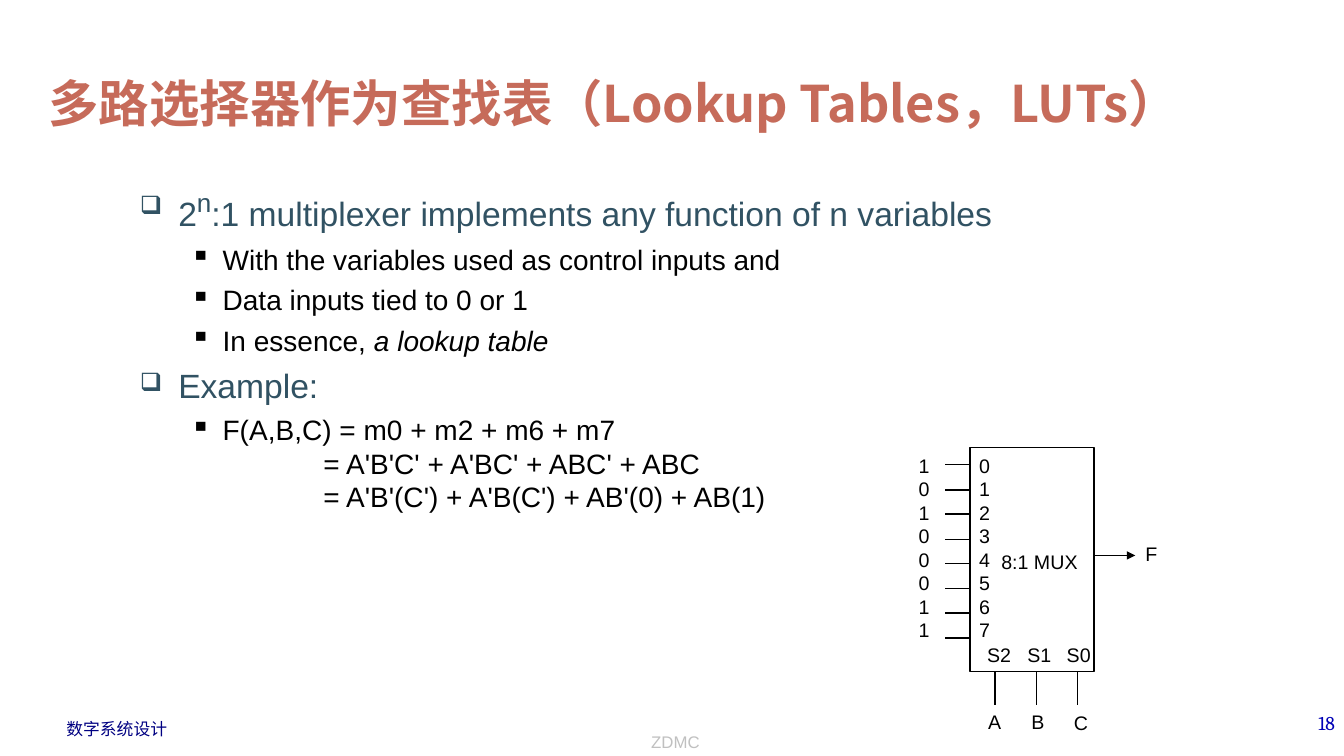
"""Build the slide on multiplexers used as lookup tables."""
from dataclasses import dataclass

from lxml import etree
from pptx import Presentation
from pptx.dml.color import RGBColor
from pptx.enum.shapes import MSO_CONNECTOR, MSO_SHAPE
from pptx.enum.text import MSO_ANCHOR, MSO_AUTO_SIZE, PP_ALIGN
from pptx.oxml.ns import qn
from pptx.util import Emu, Pt

PX = 9144
LEFT, CENTER, RIGHT = PP_ALIGN.LEFT, PP_ALIGN.CENTER, PP_ALIGN.RIGHT
TOP, BOTTOM = MSO_ANCHOR.TOP, MSO_ANCHOR.BOTTOM
NO_AUTOSIZE = MSO_AUTO_SIZE.NONE
STRAIGHT, RECTANGLE = MSO_CONNECTOR.STRAIGHT, MSO_SHAPE.RECTANGLE

BLACK = RGBColor(0x00, 0x00, 0x00)
CORAL = RGBColor(0xC6, 0x6B, 0x5A)
SLATE = RGBColor(0x31, 0x52, 0x63)
NAVY = RGBColor(0x00, 0x00, 0x82)
BLUE = RGBColor(0x00, 0x00, 0xB6)
SILVER = RGBColor(0xC0, 0xC0, 0xC0)
SANS, SERIF, CJK = "Arial", "Cambria", "Noto Sans CJK SC"


@dataclass(frozen=True)
class Span:
    text: str
    size: int = 0
    italic: bool = False
    raised: int = 0


@dataclass(frozen=True)
class Level:
    size: int
    color: RGBColor
    margin: int
    hanging: int
    before: int
    bullet: str = ""
    bullet_percent: int = 100


@dataclass(frozen=True)
class Label:
    text: str
    left: int
    top: int
    width: int
    height: int
    align: PP_ALIGN = LEFT


@dataclass(frozen=True)
class Wire:
    x1: int
    y1: int
    x2: int
    y2: int
    arrow: bool = False


TOPIC = Level(24, SLATE, 38, 38, 6, "❑", 75)
POINT = Level(20, BLACK, 82, 32, 5, "▪")
EQUATION = Level(20, BLACK, 182, 0, 0)

OUTLINE = [
    (TOPIC, [Span("2"), Span("n", size=32, raised=30),
             Span(":1 multiplexer implements any function of n variables")]),
    (POINT, [Span("With the variables used as control inputs and")]),
    (POINT, [Span("Data inputs tied to 0 or 1")]),
    (POINT, [Span("In essence, "), Span("a lookup table", italic=True)]),
    (TOPIC, [Span("Example:")]),
    (POINT, [Span("F(A,B,C) = m0 + m2 + m6 + m7")]),
    (EQUATION, [Span("= A'B'C' + A'BC' + ABC' + ABC")]),
    (EQUATION, [Span("= A'B'(C') + A'B(C') + AB'(0) + AB(1)")]),
]

MUX_LEFT, MUX_TOP, MUX_WIDTH, MUX_HEIGHT = 962, 444, 123, 222
MUX_RIGHT, MUX_BOTTOM = MUX_LEFT + MUX_WIDTH, MUX_TOP + MUX_HEIGHT
INPUT_YS = [461 + round(172 * i / 7) for i in range(8)]
SELECT_XS = range(987, 1070, 41)

WIRES = [
    *(Wire(MUX_LEFT, y, MUX_LEFT - 25, y) for y in INPUT_YS),
    *(Wire(x, MUX_BOTTOM, x, MUX_BOTTOM + 33) for x in SELECT_XS),
    Wire(MUX_RIGHT, 551, MUX_RIGHT + 41, 551, arrow=True),
]
LABELS = [
    Label("1\n0\n1\n0\n0\n0\n1\n1", 909, 447, 21, 227),
    Label("0\n1\n2\n3\n4\n5\n6\n7", 969, 447, 18, 227),
    Label("8:1 MUX", 970, 543, 122, 65, CENTER),
    Label("S2", 977, 635, 70, 65),
    Label("S1", 1017, 635, 70, 65),
    Label("S0", 1056, 635, 70, 65),
    Label("A", 978, 701, 60, 30),
    Label("B", 1021, 701, 60, 30),
    Label("C", 1063, 702, 60, 30),
    Label("F", 1134, 535, 58, 64),
]


def px(value: int) -> Emu:
    """Convert whole px to EMU."""
    return Emu(value * PX)


def add_span(paragraph, span: Span, *, size: int, color: RGBColor,
             font: str = SANS, bold: bool = False) -> None:
    """Append one formatted run to a paragraph."""
    run = paragraph.add_run()
    run.text = span.text
    run.font.size = Pt(span.size or size)
    run.font.name = font
    run.font.bold = bold
    run.font.italic = span.italic
    run.font.color.rgb = color
    properties = run.font._element
    if span.raised:
        properties.set("baseline", str(span.raised * 1000))
    etree.SubElement(properties, qn("a:ea")).set("typeface", CJK)


def set_text(shape, text: str, *, size: int, color: RGBColor, font: str = SANS,
             bold: bool = False, align: PP_ALIGN = LEFT, anchor: MSO_ANCHOR = TOP,
             wrap: bool = True, insets: tuple[int, int] = (10, 5),
             line_points: float = 0) -> None:
    """Write text into a shape, one paragraph a line."""
    frame = shape.text_frame
    frame.word_wrap = wrap
    frame.auto_size = NO_AUTOSIZE
    frame.vertical_anchor = anchor
    frame.margin_left = frame.margin_right = px(insets[0])
    frame.margin_top = frame.margin_bottom = px(insets[1])
    for index, line in enumerate(text.split("\n")):
        paragraph = frame.add_paragraph() if index else frame.paragraphs[0]
        paragraph.alignment = align
        if line_points:
            paragraph.line_spacing = Pt(line_points)
        add_span(paragraph, Span(line), size=size, color=color, font=font, bold=bold)


def add_box(slide, left: int, top: int, width: int, height: int):
    """Add an empty text box placed in px."""
    return slide.shapes.add_textbox(px(left), px(top), px(width), px(height))


def set_level(paragraph, level: Level) -> None:
    """Apply the indent, spacing and bullet of an outline level."""
    paragraph.space_before = Pt(level.before)
    properties = paragraph._p.get_or_add_pPr()
    properties.set("marL", str(px(level.margin)))
    properties.set("indent", str(-px(level.hanging)))
    if level.bullet:
        size = etree.SubElement(properties, qn("a:buSzPct"))
        size.set("val", str(level.bullet_percent * 1000))
        etree.SubElement(properties, qn("a:buChar")).set("char", level.bullet)


def add_outline(slide) -> None:
    """Add the bulleted body text."""
    frame = add_box(slide, 129, 175, 994, 488).text_frame
    frame.word_wrap = True
    for index, (level, spans) in enumerate(OUTLINE):
        paragraph = frame.add_paragraph() if index else frame.paragraphs[0]
        set_level(paragraph, level)
        for span in spans:
            add_span(paragraph, span, size=level.size, color=level.color)


def add_wire(slide, wire: Wire) -> None:
    """Draw one straight wire, with an arrowhead if asked."""
    line = slide.shapes.add_connector(
        STRAIGHT, px(wire.x1), px(wire.y1), px(wire.x2), px(wire.y2))
    line.line.color.rgb = BLACK
    line.line.width = Pt(1)
    if wire.arrow:
        etree.SubElement(line.line._get_or_add_ln(), qn("a:tailEnd")).set("type", "triangle")
    etree.SubElement(line._element.spPr, qn("a:effectLst"))


def add_multiplexer(slide) -> None:
    """Draw the 8:1 multiplexer with its wires and labels."""
    body = slide.shapes.add_shape(
        RECTANGLE, px(MUX_LEFT), px(MUX_TOP), px(MUX_WIDTH), px(MUX_HEIGHT))
    body.shadow.inherit = False
    body.fill.background()
    body.line.color.rgb = BLACK
    body.line.width = Pt(1)
    for wire in WIRES:
        add_wire(slide, wire)
    for label in LABELS:
        box = add_box(slide, label.left, label.top, label.width, label.height)
        set_text(box, label.text, size=14, color=BLACK, align=label.align,
                 wrap=False, insets=(2, 3), line_points=16.8)


def main() -> None:
    """Build and save the slide."""
    deck = Presentation()
    deck.slide_width, deck.slide_height = px(1333), px(750)
    slide = deck.slides.add_slide(deck.slide_layouts[5])
    title = slide.shapes.title
    title.left, title.top, title.width, title.height = px(38), px(62), px(1196), px(75)
    set_text(title, "多路选择器作为查找表（Lookup Tables，LUTs）", size=36,
             color=CORAL, font=CJK, bold=True, anchor=BOTTOM)
    add_outline(slide)
    add_multiplexer(slide)
    set_text(add_box(slide, 56, 708, 121, 30), "数字系统设计",
             size=12, color=NAVY, wrap=False)
    set_text(add_box(slide, 345, 700, 650, 51), "ZDMC",
             size=12, color=SILVER, align=CENTER, anchor=BOTTOM)
    set_text(add_box(slide, 1056, 700, 278, 50), "18",
             size=14, color=BLUE, font=SERIF, align=RIGHT)
    deck.save("out.pptx")


if __name__ == "__main__":
    main()
